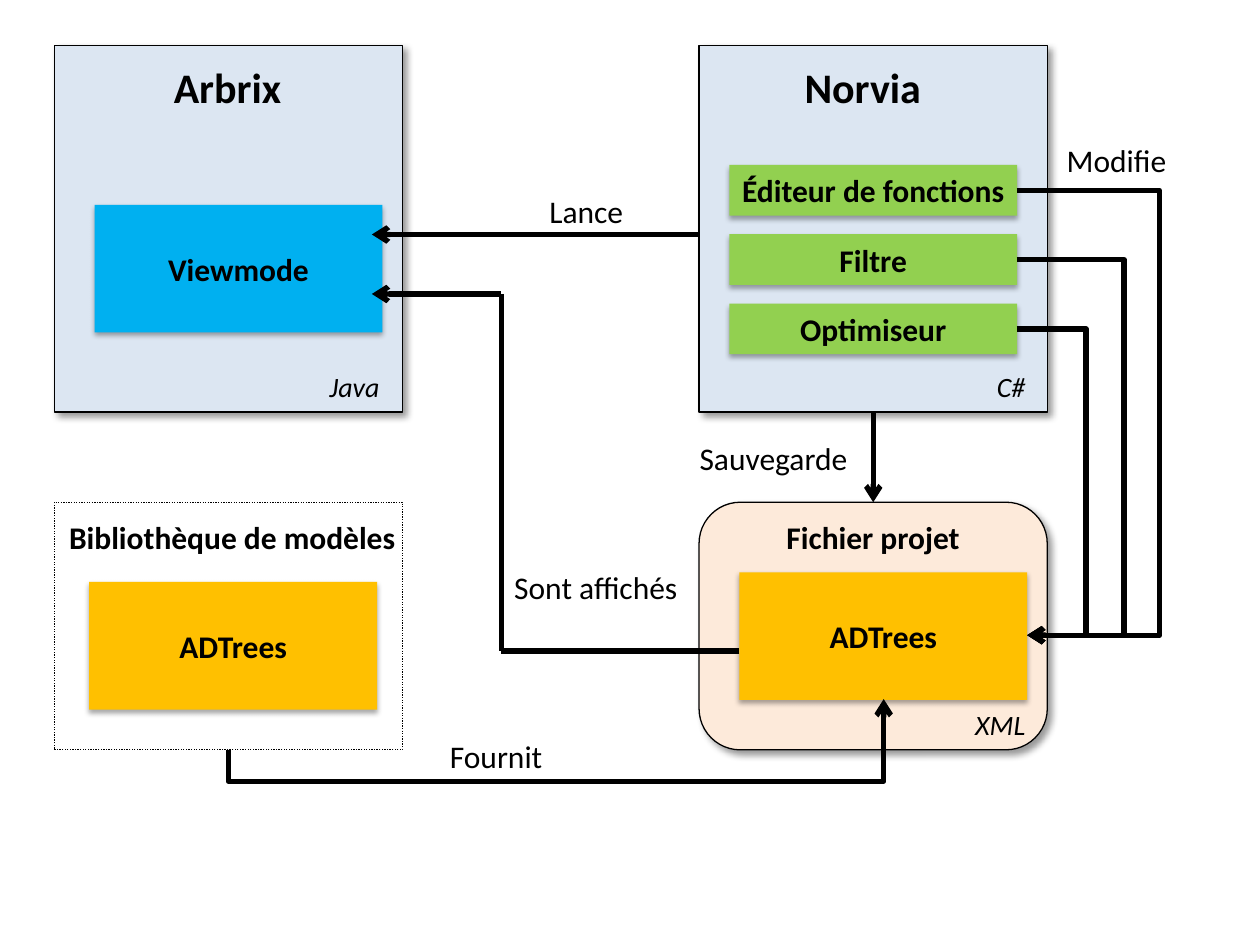
"""Diagram of two tools, a project file and a model library linked by arrows."""
from lxml import etree
from pptx import Presentation
from pptx.dml.color import RGBColor
from pptx.enum import dml, shapes as sh, text as tx
from pptx.oxml import ns
from pptx.util import Pt

BLACK = RGBColor(0, 0, 0)
PALE = RGBColor(0xDC, 0xE6, 0xF2)
PEACH = RGBColor(0xFD, 0xEA, 0xDA)
BLUE = RGBColor(0x00, 0xB0, 0xF0)
GREEN = RGBColor(0x92, 0xD0, 0x50)
GOLD = RGBColor(0xFF, 0xC0, 0x00)
RECT = sh.MSO_SHAPE.RECTANGLE
ROUND = sh.MSO_SHAPE.ROUNDED_RECTANGLE
LEFT, RIGHT, LOW = 31, 399.5, 287
WIDE, TALL, SHORT = 199, 209.5, 141.5

deck = Presentation()
deck.slide_width, deck.slide_height = Pt(720), Pt(540)
slide = deck.slides.add_slide(deck.slide_layouts[6])
items = slide.shapes


def write(shape, words, size=18, bold=False, slant=False, align=tx.PP_ALIGN.CENTER):
    """Put formatted text in a shape."""
    frame = shape.text_frame
    frame.word_wrap = True
    frame.text = words
    para = frame.paragraphs[0]
    para.alignment = align
    font = para.runs[0].font
    font.name, font.size, font.bold, font.italic = "Calibri", Pt(size), bold, slant
    font.color.rgb = BLACK


def link(x1, y1, x2, y2, bend=None, arrow=True):
    """Draw a thick connector, bent at a share of its width if given."""
    kind = sh.MSO_CONNECTOR.STRAIGHT if bend is None else sh.MSO_CONNECTOR.ELBOW
    line = items.add_connector(kind, Pt(x1), Pt(y1), Pt(x2), Pt(y2))
    line.line.width = Pt(3)
    line.line.color.rgb = BLACK
    props = line._element.spPr
    if arrow:
        etree.SubElement(props.find(ns.qn("a:ln")), ns.qn("a:tailEnd"), type="arrow")
    etree.SubElement(props, ns.qn("a:effectLst"))
    if bend is not None:
        guides = props.find(ns.qn("a:prstGeom")).get_or_add_avLst()
        etree.SubElement(guides, ns.qn("a:gd"), name="adj1", fmla=f"val {round(bend * 100000)}")
    return line


frames = [
    (RECT, LEFT, 26, TALL, PALE),
    (RECT, RIGHT, 26, TALL, PALE),
    (RECT, LEFT, LOW, SHORT, None),
    (ROUND, RIGHT, LOW, SHORT, PEACH),
]
blocks = [
    ("Viewmode", 54, 117, 73, BLUE),
    ("ADTrees", 51, 332.5, 73, GOLD),
    ("ADTrees", 422.5, 327, 73, GOLD),
]
for i, name in enumerate(["Éditeur de fonctions", "Filtre", "Optimiseur"]):
    blocks.append((name, 416.75, 94.25 + 39.6 * i, 29, GREEN))

boxes = [(kind, None, x, y, WIDE, h, fill) for kind, x, y, h, fill in frames]
boxes += [(RECT, name, x, y, 164.5, h, fill) for name, x, y, h, fill in blocks]
for kind, name, x, y, w, h, fill in boxes:
    box = items.add_shape(kind, Pt(x), Pt(y), Pt(w), Pt(h))
    box.shadow.inherit = False
    if name:
        box.line.fill.background()
        box.text_frame.vertical_anchor = tx.MSO_ANCHOR.MIDDLE
        write(box, name, bold=True)
        blur, dist, turn, dark = 3.1, 1.8, 90, 35
    else:
        box.line.color.rgb = BLACK
        box.line.width = Pt(0.75)
        blur, dist, turn, dark = 4, 3, 45, 40
    if fill is None:
        box.fill.background()
        box.line.dash_style = dml.MSO_LINE.ROUND_DOT
        continue
    box.fill.solid()
    box.fill.fore_color.rgb = fill
    effect = box._element.spPr.find(ns.qn("a:effectLst"))
    shade = etree.SubElement(
        effect, ns.qn("a:outerShdw"), blurRad=str(Pt(blur)), dist=str(Pt(dist)),
        dir=str(turn * 60000), rotWithShape="0")
    tint = etree.SubElement(shade, ns.qn("a:srgbClr"), val=str(BLACK))
    etree.SubElement(tint, ns.qn("a:alpha"), val=str(dark * 1000))

for i, turn in enumerate([662.4, 642.2, 620.6]):
    link(581, 108.75 + 39.6 * i, 587, 363, (turn - 581) / 6)

supply = link(332.25, 601.25, 303.25, 226.75, -0.62)
supply._element.spPr.find(ns.qn("a:xfrm")).set("rot", str(90 * 60000))

link(499, 236, 499, LOW)
link(RIGHT, 134, 212.5, 134)
link(422.5, 372, 286.5, 372, arrow=False)
link(286.5, 168, 286.5, 372, arrow=False)
link(286.5, 168, 212.5, 168)

bold = {"bold": True}
title = {"size": 24, "bold": True}
tech = {"size": 16, "slant": True, "align": tx.PP_ALIGN.RIGHT}
labels = [
    ("Arbrix", 36.5, 31.5, 187, 36, title),
    ("Norvia", 399.5, 31.5, 187, 36, title),
    ("Bibliothèque de modèles", 28, 292.5, 209.5, 29, bold),
    ("Fichier projet", RIGHT, 292.5, WIDE, 29, bold),
    ("Modifie", 598.5, 77, 79, 29, {}),
    ("Lance", 292.5, 106, 85, 29, {}),
    ("Sauvegarde", 388, 247.5, 108, 29, {}),
    ("Sont affichés", 286.5, 321, 108, 51, {}),
    ("Fournit", 241, 417.5, 85, 29, {}),
    ("Java", 133, 207.5, 91, 27, tech),
    ("C#", 502, 207.5, 91, 27, tech),
    ("XML", 502, 400.5, 91, 27, tech),
]
for words, x, y, w, h, style in labels:
    write(items.add_textbox(Pt(x), Pt(y), Pt(w), Pt(h)), words, **style)

deck.save("out.pptx")
